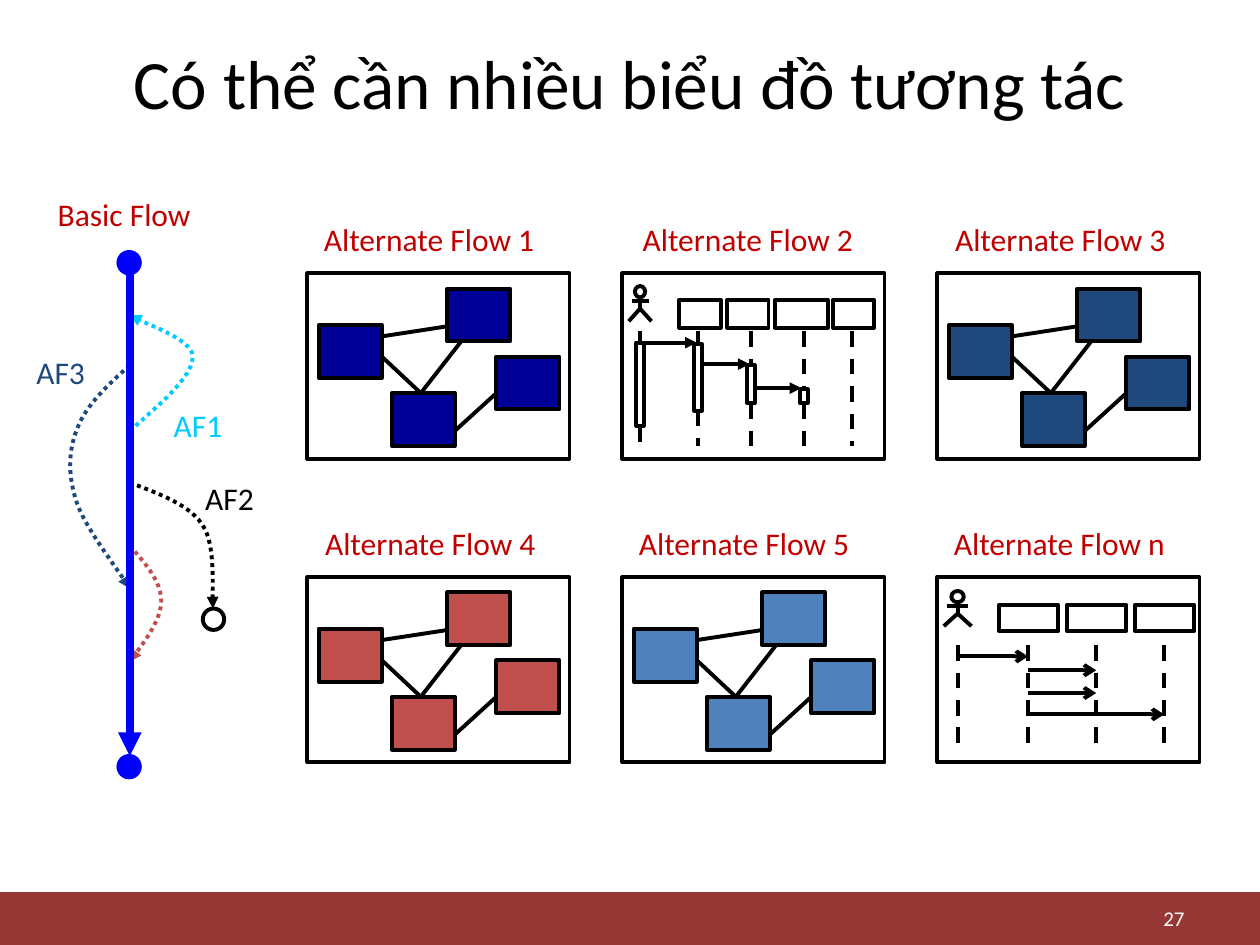
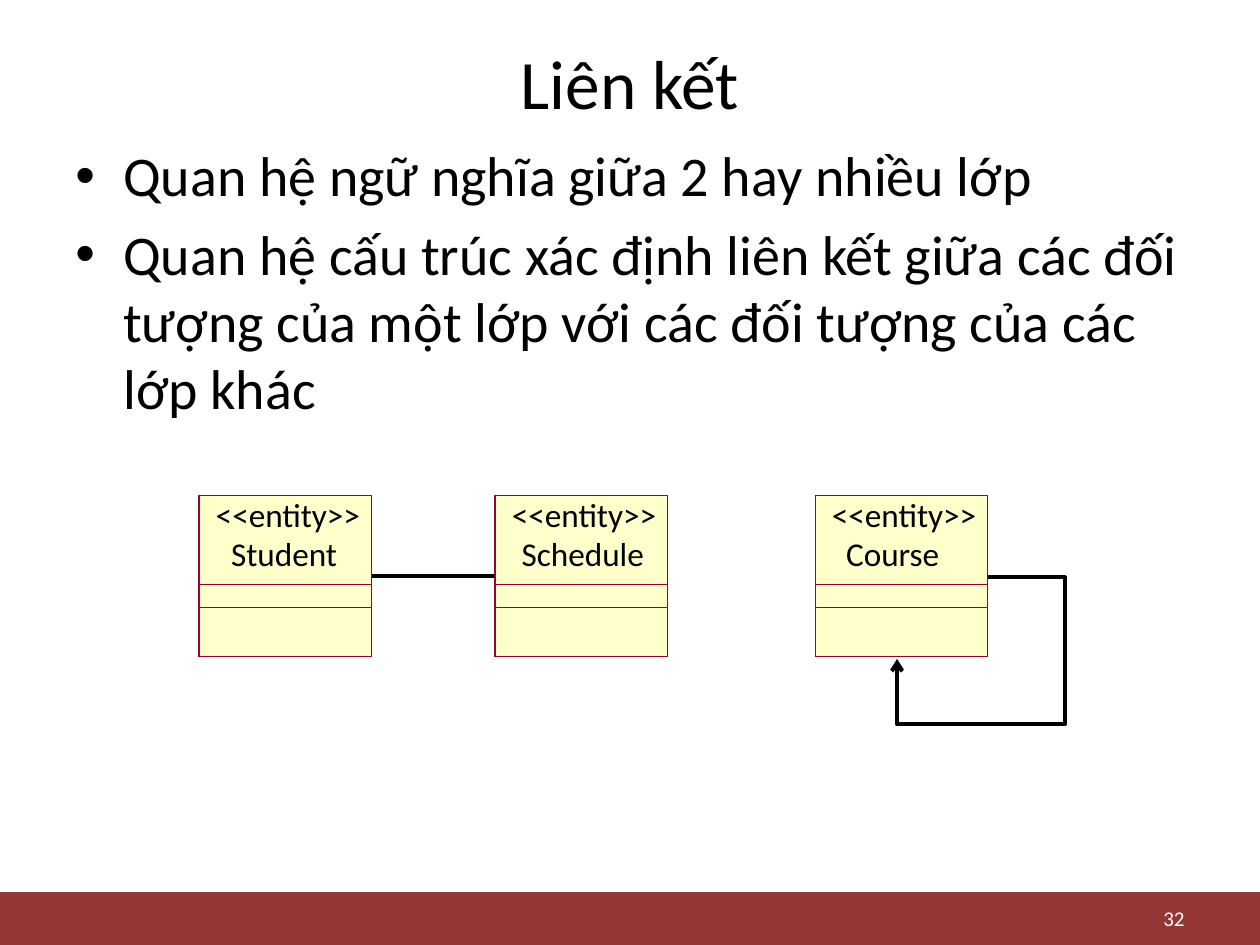
import lxml.etree
import pptx
import pptx.dml.color
import pptx.enum.dml
import pptx.enum.shapes
import pptx.enum.text
import pptx.oxml.ns
import pptx.util

COLUMNS, ROWS = 10, 7.5
COLORS = {
    "black": "000000", "white": "FFFFFF", "band": "953735", "label": "C00000",
    "flow": "0000FF", "cyan": "00CCFF", "navy": "1F497D", "brick": "C0504D",
    "deep": "000099", "steel": "4F81BD", "cream": "FFFFCC", "wine": "990033",
}
SHAPES = pptx.enum.shapes.MSO_SHAPE
ALIGN = pptx.enum.text.PP_ALIGN
ANCHOR = pptx.enum.text.MSO_ANCHOR
DASHED = pptx.enum.dml.MSO_LINE.DASH
DOTTED = pptx.enum.dml.MSO_LINE.ROUND_DOT


def add_xml(parent, tag, **attributes):
    name = pptx.oxml.ns.qn(tag)
    return lxml.etree.SubElement(parent, name, **attributes)


def curve_points(start, *segments, steps=12):
    """Points along a chain of cubic curves; each segment is two controls and an end."""
    points = [start]
    for control_1, control_2, end in segments:
        for step in range(1, steps + 1):
            t = step / steps
            weights = ((1 - t) ** 3, 3 * t * (1 - t) ** 2, 3 * t * t * (1 - t), t ** 3)
            corners = (start, control_1, control_2, end)
            points.append(tuple(sum(weight * corner[axis] for weight, corner in zip(weights, corners))
                                for axis in (0, 1)))
        start = end
    return points


class Page:
    """Style and current slide; places are grid columns and rows from the origin."""

    font = "Calibri"
    stroke = 2.25

    def __init__(self, deck):
        self.deck = deck
        self.column = deck.slide_width / COLUMNS
        self.row = deck.slide_height / ROWS

    def start(self, title, number):
        self.slide = self.deck.slides.add_slide(self.deck.slide_layouts[6])
        self.move_origin(0, 0)
        self.box(0, 7.08, 10, 0.42, fill="band", line=None)
        self.text(title, 0.5, 0.3, 9, 0.7, size=39.6, align=ALIGN.CENTER,
                  anchor=ANCHOR.MIDDLE, wrap=True)
        self.text(number, 7.17, 7.15, 2.33, 0.27, size=12, color="white",
                  align=ALIGN.RIGHT, anchor=ANCHOR.MIDDLE, wrap=True)

    def move_origin(self, x, y):
        self.origin = (x, y)

    def place(self, x, y):
        return (round((self.origin[0] + x) * self.column),
                round((self.origin[1] + y) * self.row))

    def area(self, x, y, width, height):
        return (*self.place(x, y), round(width * self.column), round(height * self.row))

    def color(self, name):
        return pptx.dml.color.RGBColor.from_string(COLORS[name])

    def paint_line(self, shape, color, width, dash=None, head=None):
        shape.line.color.rgb = self.color(color)
        shape.line.width = pptx.util.Pt(width)
        if dash:
            shape.line.dash_style = dash
        if head:
            add_xml(shape.line._get_or_add_ln(), "a:tailEnd", type=head)

    def box(self, x, y, width, height, fill=None, line="black", stroke=stroke,
            kind=SHAPES.RECTANGLE):
        box = self.slide.shapes.add_shape(kind, *self.area(x, y, width, height))
        box.shadow.inherit = False
        if fill:
            box.fill.solid()
            box.fill.fore_color.rgb = self.color(fill)
        else:
            box.fill.background()
        if line:
            self.paint_line(box, line, stroke)
        else:
            box.line.fill.background()

    def dot(self, x, y, width, height, fill=None, line="black"):
        self.box(x, y, width, height, fill, line, kind=SHAPES.OVAL)

    def line(self, start, end, color="black", width=stroke, dash=None, head=None):
        line = self.slide.shapes.add_connector(
            pptx.enum.shapes.MSO_CONNECTOR.STRAIGHT, *self.place(*start), *self.place(*end))
        self.paint_line(line, color, width, dash, head)
        add_xml(line._element.spPr, "a:effectLst")

    def outline(self, points, color="black", dash=None, head=None):
        first, *others = [self.place(*point) for point in points]
        builder = self.slide.shapes.build_freeform(*first, scale=1.0)
        builder.add_line_segments(others, close=False)
        outline = builder.convert_to_shape()
        outline.shadow.inherit = False
        outline.fill.background()
        self.paint_line(outline, color, self.stroke, dash, head)

    def frame(self, x, y, width, height, wrap):
        frame = self.slide.shapes.add_textbox(*self.area(x, y, width, height)).text_frame
        frame.word_wrap = wrap
        return frame

    def span(self, para, words, size, color="black"):
        span = para.add_run()
        span.text = words
        span.font.name = self.font
        span.font.size = pptx.util.Pt(size)
        span.font.color.rgb = self.color(color)

    def text(self, words, x, y, width, height, size=18, color="black", align=ALIGN.LEFT,
             anchor=ANCHOR.TOP, wrap=False, padded=True):
        frame = self.frame(x, y, width, height, wrap)
        frame.vertical_anchor = anchor
        if not padded:
            frame.margin_left = frame.margin_right = 0
            frame.margin_top = frame.margin_bottom = 0
        para = frame.paragraphs[0]
        para.alignment = align
        self.span(para, words, size, color)

    def bullets(self, items, x, y, width, height, size=32):
        frame = self.frame(x, y, width, height, True)
        indent = round(0.38 * self.column)
        for index, item in enumerate(items):
            para = frame.add_paragraph() if index else frame.paragraphs[0]
            para.space_before = pptx.util.Pt(size * 0.2)
            self.span(para, item, size)
            properties = para._p.get_or_add_pPr()
            properties.set("marL", str(indent))
            properties.set("indent", str(-indent))
            add_xml(properties, "a:buFont", typeface="Arial")
            add_xml(properties, "a:buChar", char="•")

    def actor(self, center, top, reach):
        """Stick figure whose feet stand `reach` to each side of its center."""
        self.dot(center - 0.45 * reach, top, 0.9 * reach, 0.09)
        self.line((center, top + 0.1), (center, top + 0.18))
        self.line((center - 0.75 * reach, top + 0.12), (center + 0.75 * reach, top + 0.12))
        self.outline([(center - reach, top + 0.28), (center, top + 0.18),
                      (center + reach, top + 0.28)])

    def panel(self):
        self.box(0, 0, 2.08, 1.47)


def collaboration(page, fill):
    links = [((0.59, 0.66), (0.9, 0.95)), ((0.59, 0.5), (1.11, 0.42)),
             ((0.9, 0.95), (1.22, 0.54)), ((1.17, 1.25), (1.5, 0.95))]
    for start, end in links:
        page.line(start, end)
    page.panel()
    for x, y in [(0.09, 0.41), (0.67, 0.95), (1.5, 0.66), (1.11, 0.12)]:
        page.box(x, y, 0.5, 0.42, fill)


def sequence_with_bars(page):
    page.panel()
    page.actor(0.14, 0.1, 0.09)
    for start, end, y in [(0.13, 0.59, 0.55), (0.62, 1.01, 0.72), (1.06, 1.42, 0.91)]:
        page.line((start, y), (end, y), head="triangle")
    top, bottom = 0.46, 1.37
    for x, bar_top, bar_height in [(0.14, 0.55, 0.66), (0.6, 0.56, 0.53),
                                   (1.02, 0.73, 0.3), (1.44, 0.92, 0.11)]:
        page.line((x, top), (x, bar_top), dash=DASHED)
        page.box(x - 0.03, bar_top, 0.06, bar_height)
        page.line((x, bar_top + bar_height), (x, bottom), dash=DASHED)
    page.line((1.82, top), (1.82, bottom), dash=DASHED)
    for x, width in [(0.45, 0.33), (0.83, 0.33), (1.21, 0.42), (1.67, 0.33)]:
        page.box(x, 0.21, width, 0.22)


def sequence_plain(page):
    page.panel()
    page.actor(0.16, 0.11, 0.11)
    for index in range(3):
        page.box(0.49 + 0.54 * index, 0.22, 0.47, 0.21)
    lifelines = [0.16, 0.72, 1.26, 1.8]
    for x in lifelines:
        page.line((x, 0.54), (x, 1.36), dash=DASHED)
    for start, end, y in [(0, 1, 0.63), (1, 2, 0.74), (1, 2, 0.92), (1, 3, 1.09)]:
        page.line((lifelines[start], y), (lifelines[end], y), head="arrow")


def flow_chart(page):
    detours = [
        ("navy", (1.03, 2.9), ((0.85, 3.06), (0.68, 3.22), (0.61, 3.41)),
         ((0.54, 3.59), (0.54, 3.78), (0.61, 3.99)), ((0.68, 4.2), (0.96, 4.55), (1.03, 4.67))),
        ("brick", (1.03, 4.33), ((1.15, 4.47), (1.28, 4.61), (1.28, 4.77)),
         ((1.28, 4.92), (1.15, 5.09), (1.03, 5.25))),
        ("cyan", (1.03, 3.42), ((1.28, 3.2), (1.53, 2.99), (1.53, 2.83)),
         ((1.53, 2.68), (1.11, 2.56), (1.03, 2.5))),
        ("black", (1.03, 3.83), ((1.26, 3.92), (1.5, 4), (1.61, 4.17)),
         ((1.72, 4.33), (1.68, 4.72), (1.69, 4.83))),
    ]
    for color, start, *segments in detours:
        page.outline(curve_points(start, *segments), color, DOTTED, "triangle")
    for y in (6, 2):
        page.dot(0.94, y, 0.17, 0.17, "flow", "flow")
    page.dot(1.61, 4.83, 0.17, 0.17)
    for words, x, y, width, color in [("AF1", 1.28, 3.17, 0.66, "cyan"),
                                      ("AF2", 1.53, 3.75, 0.66, "black"),
                                      ("AF3", 0.19, 2.75, 0.66, "navy"),
                                      ("Basic Flow", 0.36, 1.5, 1.27, "label")]:
        page.text(words, x, y, width, 0.4, color=color)
    page.line((1.03, 2.17), (1.03, 6), "flow", 4.5, head="triangle")


def interaction_slide(page):
    page.start("Có thể cần nhiều biểu đồ tương tác", "27")
    flow_chart(page)
    panels = [("1", 0.13, "deep"), ("2", 0.16, sequence_with_bars), ("3", 0.14, "navy"),
              ("4", 0.14, "brick"), ("5", 0.13, "steel"), ("n", 0.13, sequence_plain)]
    for index, (flow, label_shift, content) in enumerate(panels):
        row, column = divmod(index, 3)
        page.move_origin(2.44 + 2.5 * column, 2.17 + 2.41 * row)
        page.text("Alternate Flow " + flow, label_shift, -0.42, 1.69, 0.3,
                  color="label", padded=False)
        if callable(content):
            content(page)
        else:
            collaboration(page, content)


def entity(page, name, left, name_shift, name_width):
    page.move_origin(left, 3.93)
    page.box(0, 0, 1.37, 1.28, "cream", "wine", 0)
    for top in (0.71, 0.89):
        page.box(0, top, 1.37, 1.28 - top, None, "wine", 0)
    for words, x, y, width in [("<<entity>>", 0.08, -0.01, 1.25),
                               (name, name_shift, 0.3, name_width)]:
        page.text(words, x, y, width, 0.32, size=19, align=ALIGN.CENTER, padded=False)


def association_slide(page):
    page.start("Liên kết", "32")
    page.bullets(["Quan hệ ngữ nghĩa giữa 2 hay nhiều lớp",
                  "Quan hệ cấu trúc xác định liên kết giữa các đối tượng của một lớp "
                  "với các đối tượng của các lớp khác"], 0.5, 1.07, 9, 5.63)
    page.outline([(7.79, 4.58), (8.45, 4.58), (8.45, 5.75), (7.12, 5.75), (7.12, 5.23)],
                 head="arrow")
    page.line((2.53, 4.57), (4.17, 4.57))
    entity(page, "Course", 6.47, 0.19, 0.85)
    entity(page, "Student", 1.58, 0.1, 1.15)
    entity(page, "Schedule", 3.93, 0.1, 1.19)


def main():
    deck = pptx.Presentation()
    deck.slide_width = pptx.util.Inches(10)
    deck.slide_height = pptx.util.Inches(7.5)
    page = Page(deck)
    interaction_slide(page)
    association_slide(page)
    deck.save("out.pptx")


if __name__ == "__main__":
    main()
